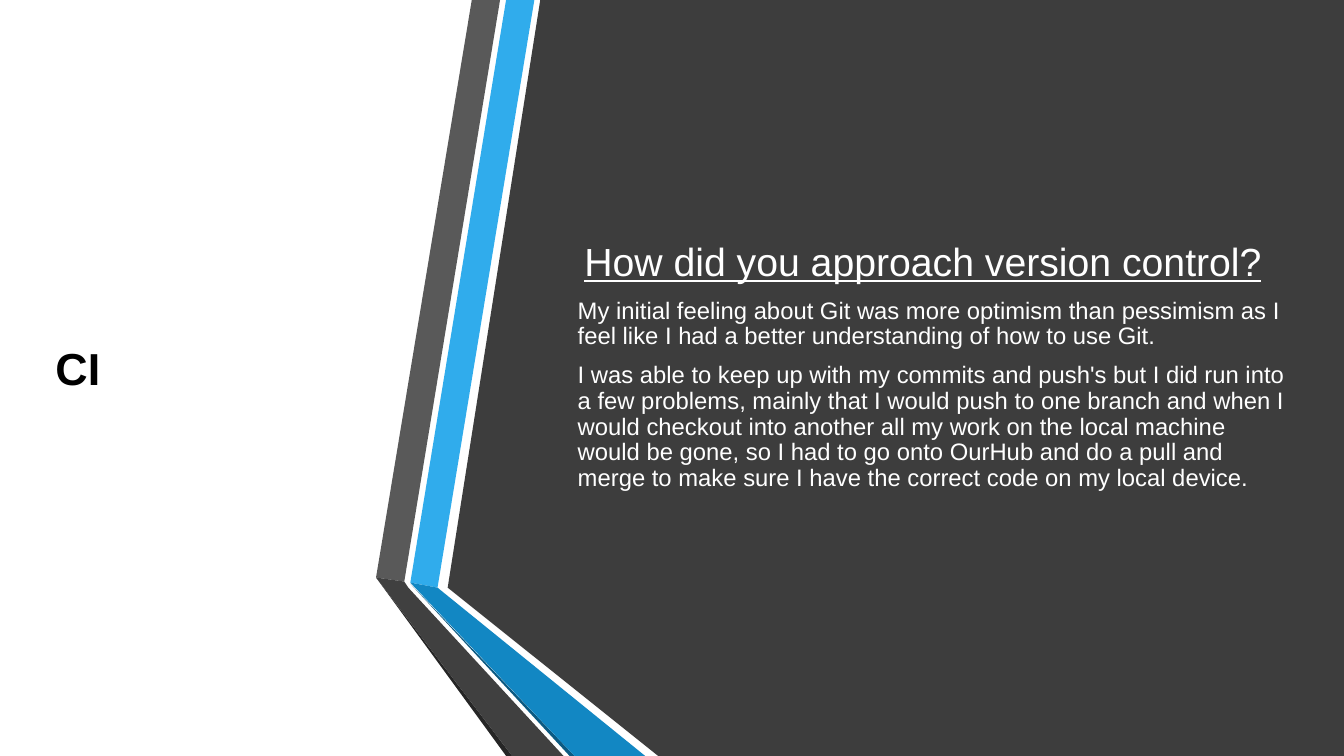
from lxml import etree
from pptx import Presentation
from pptx.dml.color import RGBColor
from pptx.enum import text
from pptx.oxml import ns
from pptx.util import Inches, Pt

FONT = "Arial"
WHITE = RGBColor(0xFF, 0xFF, 0xFF)
BLACK = RGBColor(0x00, 0x00, 0x00)
PANEL = RGBColor(0x0D, 0x0D, 0x0D)
BLUE = RGBColor(0x30, 0xAC, 0xEC)
BLUE_FOLD = RGBColor(0x12, 0x87, 0xC3)
BLUE_EDGE = RGBColor(0x0C, 0x5A, 0x82)
GREY = RGBColor(0x59, 0x59, 0x59)
GREY_FOLD = RGBColor(0x40, 0x40, 0x40)
GREY_EDGE = RGBColor(0x26, 0x26, 0x26)

PANEL_POINTS = [(13.33, -0.02), (13.33, 7.52), (6.54, 7.51), (4.44, 5.83), (5.36, -0.01)]
RIBBONS = [
    (BLUE, [(4.07, 5.78), (4.34, 5.83), (5.3, 0), (5.02, 0)]),
    (GREY, [(4.96, 0), (4.68, 0), (3.73, 5.73), (4.01, 5.77)]),
    (GREY_EDGE, [(3.73, 5.73), (5.02, 7.5), (5.08, 7.5)]),
    (BLUE_EDGE, [(4.07, 5.79), (5.65, 7.5), (5.7, 7.5)]),
    (BLUE_FOLD, [(4.07, 5.78), (5.7, 7.5), (6.4, 7.5), (4.34, 5.83)]),
    (GREY_FOLD, [(3.73, 5.73), (5.08, 7.5), (5.59, 7.5), (4.05, 5.83), (4.01, 5.77)]),
]

HEADING = "How did you approach version control?"
ANSWERS = [
    "My initial feeling about Git was more optimism than pessimism as I feel like "
    "I had a better understanding of how to use Git.",
    "I was able to keep up with my commits and push's but I did run into a few "
    "problems, mainly that I would push to one branch and when I would checkout into "
    "another all my work on the local machine would be gone, so I had to go onto "
    "OurHub and do a pull and merge to make sure I have the correct code on my local "
    "device.",
]


def add_polygon(shapes, points, color, opacity=None):
    corners = [(Inches(x), Inches(y)) for x, y in points]
    builder = shapes.build_freeform(*corners[0])
    builder.add_line_segments(corners[1:], close=True)
    shape = builder.convert_to_shape()
    shape.shadow.inherit = False
    shape.fill.solid()
    shape.fill.fore_color.rgb = color
    shape.line.fill.background()
    if opacity is not None:
        fill_color = shape.element.spPr.find(".//" + ns.qn("a:srgbClr"))
        etree.SubElement(fill_color, ns.qn("a:alpha"), val=str(opacity * 1000))


def place_text(shape, left, top, width, height):
    """Position a placeholder, bring it to the front and return its text frame."""
    shape.left, shape.top = Inches(left), Inches(top)
    shape.width, shape.height = Inches(width), Inches(height)
    shape.element.getparent().append(shape.element)
    frame = shape.text_frame
    frame.word_wrap = True
    frame.auto_size = text.MSO_AUTO_SIZE.NONE
    frame.vertical_anchor = text.MSO_ANCHOR.MIDDLE
    return frame


def add_run(paragraph, words, size, color, bold=False, underline=False):
    run = paragraph.add_run()
    run.text = words
    run.font.name = FONT
    run.font.size = Pt(size)
    run.font.color.rgb = color
    run.font.bold = bold
    run.font.underline = underline


def format_body_paragraph(paragraph):
    paragraph.alignment = text.PP_ALIGN.LEFT
    paragraph.line_spacing = 0.9
    paragraph.space_after = Pt(6)
    properties = paragraph._p.get_or_add_pPr()
    properties.set("marL", "0")
    properties.set("indent", "0")
    etree.SubElement(properties, ns.qn("a:buNone"))


def main():
    presentation = Presentation()
    presentation.slide_width = Inches(13.33)
    presentation.slide_height = Inches(7.5)
    slide = presentation.slides.add_slide(presentation.slide_layouts[1])

    # Dark panel and folded ribbons
    add_polygon(slide.shapes, PANEL_POINTS, PANEL, opacity=80)
    ribbons = slide.shapes.add_group_shape()
    for color, points in RIBBONS:
        add_polygon(ribbons.shapes, points, color)

    # Title
    title = place_text(slide.shapes.title, 0.45, 1.17, 3.33, 4.95)
    title.paragraphs[0].alignment = text.PP_ALIGN.LEFT
    add_run(title.paragraphs[0], "CI", 32, BLACK, bold=True)

    # Question and answers
    body = place_text(slide.placeholders[1], 5.63, 1.17, 7.28, 4.95)
    question = body.paragraphs[0]
    format_body_paragraph(question)
    add_run(question, " ", 17, WHITE, bold=True)
    add_run(question, HEADING, 28, WHITE, underline=True)
    add_run(question, " ", 28, WHITE)
    for answer in ANSWERS:
        paragraph = body.add_paragraph()
        format_body_paragraph(paragraph)
        add_run(paragraph, answer, 17, WHITE)

    presentation.save("out.pptx")


if __name__ == "__main__":
    main()
